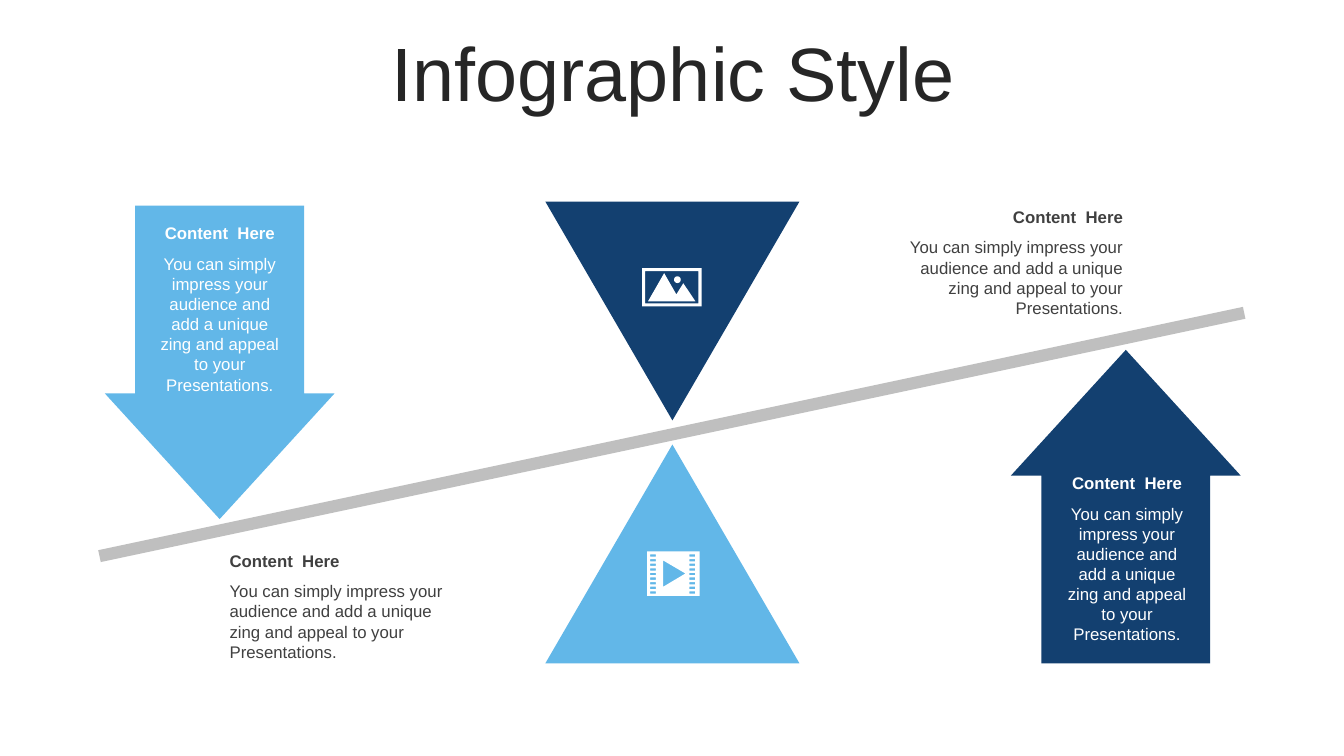
import math

import pptx
import pptx.dml.color
import pptx.enum.shapes
import pptx.enum.text
import pptx.util

RGBColor = pptx.dml.color.RGBColor
SKY = RGBColor(0x62, 0xB7, 0xE8)
NAVY = RGBColor(0x13, 0x40, 0x70)
BEAM_GREY = RGBColor(0xBF, 0xBF, 0xBF)
WHITE = RGBColor(0xFF, 0xFF, 0xFF)
TITLE_INK = RGBColor(0x26, 0x26, 0x26)
NOTE_INK = RGBColor(0x40, 0x40, 0x40)

ALIGN = pptx.enum.text.PP_ALIGN
FIT = pptx.enum.text.MSO_AUTO_SIZE
PRESET = pptx.enum.shapes.MSO_SHAPE

HEADING = "Content  Here"
BODY = ("You can simply impress your audience and add a unique zing "
        "and appeal to your Presentations.")

deck = pptx.Presentation()
deck.slide_width = pptx.util.Emu(12192000)
deck.slide_height = pptx.util.Emu(6858000)
CELL = deck.slide_width / 64  # square cells: 64 columns by 36 rows


def cells(*counts):
    """Turn counts of grid cells into lengths."""
    return [pptx.util.Emu(round(count * CELL)) for count in counts]


def write(frame, text, size=12, color=NOTE_INK, bold=False,
          align=ALIGN.LEFT, fit=FIT.SHAPE_TO_FIT_TEXT):
    frame.word_wrap = True
    frame.auto_size = fit
    paragraph = frame.paragraphs[0]
    paragraph.alignment = align
    run = paragraph.add_run()
    run.text = text
    run.font.name = "Arial"
    run.font.size = pptx.util.Pt(size)
    run.font.bold = bold
    run.font.color.rgb = color


slide = deck.slides.add_slide(deck.slide_layouts[5])

title = slide.shapes.title
title.left, title.top, title.width, title.height = cells(1.68, 1.78, 60.77, 3.79)
title.text_frame.vertical_anchor = pptx.enum.text.MSO_ANCHOR.MIDDLE
write(title.text_frame, "Infographic Style", size=54, color=TITLE_INK,
      align=ALIGN.CENTER, fit=FIT.NONE)
title.text_frame.paragraphs[0].line_spacing = 0.9

# Seesaw: triangles above and below the beam, one arrow at each end
TRIANGLE = (12.1, 10.42)
ARROW = (10.94, 14.93)
seesaw = [
    (PRESET.ISOSCELES_TRIANGLE, SKY, (25.97, 21.17), TRIANGLE, 0),
    (PRESET.DOWN_ARROW, NAVY, (48.14, 16.66), ARROW, 180),
    (PRESET.RECTANGLE, BEAM_GREY, (4.13, 20.4), (55.73, 0.58), 348),
    (PRESET.DOWN_ARROW, SKY, (4.99, 9.79), ARROW, 0),
    (PRESET.ISOSCELES_TRIANGLE, NAVY, (25.97, 9.6), TRIANGLE, 180),
]
painted = []
for preset, color, corner, extent, turn in seesaw:
    part = slide.shapes.add_shape(preset, *cells(*corner, *extent))
    part.rotation = turn
    if preset == PRESET.DOWN_ARROW:
        part.adjustments[0], part.adjustments[1] = 0.735, 0.547
    painted.append((part, color))

# Captions: a heading with its body directly below
HEADING_ROWS = 1.46
captions = [
    (7.06, 10.37, 6.82, 7.25, WHITE, ALIGN.CENTER),
    (50.26, 22.27, 6.82, 7.25, WHITE, ALIGN.CENTER),
    (42.19, 9.6, 11.76, 4.37, NOTE_INK, ALIGN.RIGHT),
    (10.46, 25.97, 11.76, 4.37, NOTE_INK, ALIGN.LEFT),
]
for left, top, width, body_rows, color, align in captions:
    heading = slide.shapes.add_textbox(*cells(left, top, width, HEADING_ROWS))
    write(heading.text_frame, HEADING, color=color, bold=True, align=align)
    body = slide.shapes.add_textbox(
        *cells(left, top + HEADING_ROWS, width, body_rows))
    write(body.text_frame, BODY, color=color, align=align)

# Icons: rectangles as (left, top, right, bottom), then other outlines
film_holes = [(left, 26.4 + 0.22 * row, left + 0.27, 26.51 + 0.22 * row)
              for row in range(9) for left in (30.96, 32.83)]
film_frame = (30.82, 26.26, 33.32, 28.37)
play = [(31.58, 26.69), (31.58, 27.94), (32.64, 27.31)]

photo_frame = (30.58, 12.77, 33.41, 14.59)
photo_window = (30.72, 12.91, 33.26, 14.45)
mountains = [(31.63, 13.01), (32.21, 14.02), (32.54, 13.49),
             (33.12, 14.35), (30.86, 14.35)]
sun = [(32.26 + 0.16 * math.cos(math.tau * step / 24),
        13.32 + 0.16 * math.sin(math.tau * step / 24)) for step in range(24)]

for rectangles, outlines in (([film_frame] + film_holes, [play]),
                             ([photo_frame, photo_window], [mountains, sun])):
    contours = [[(l, t), (r, t), (r, b), (l, b)] for l, t, r, b in rectangles]
    contours = [[cells(*point) for point in contour]
                for contour in contours + outlines]
    icon = slide.shapes.build_freeform(*contours[0][0])
    icon.add_line_segments(contours[0][1:], close=True)
    for contour in contours[1:]:
        icon.move_to(*contour[0])
        icon.add_line_segments(contour[1:], close=True)
    painted.append((icon.convert_to_shape(), WHITE))

for part, color in painted:
    part.shadow.inherit = False
    part.fill.solid()
    part.fill.fore_color.rgb = color
    part.line.fill.background()

deck.save("out.pptx")
